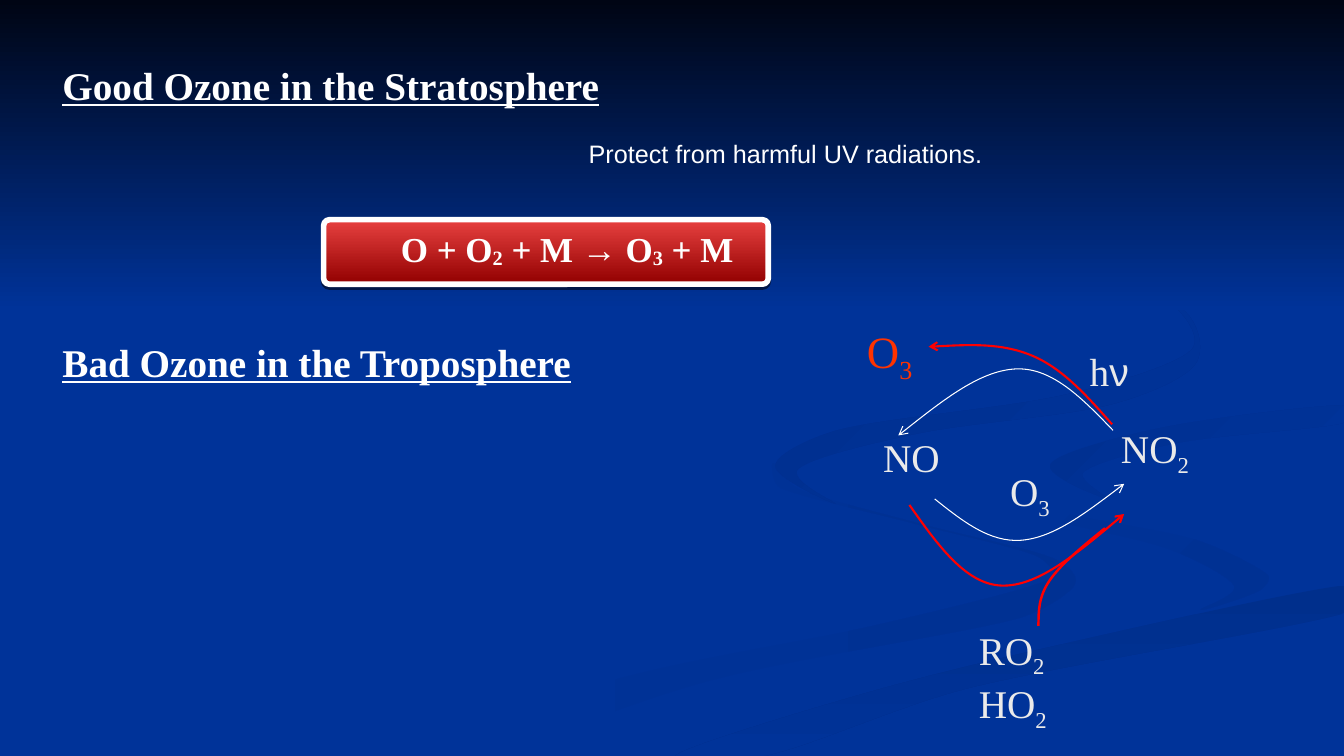
from math import dist

from pptx import Presentation
from pptx.dml.color import RGBColor
from pptx.enum.shapes import MSO_SHAPE
from pptx.enum.text import MSO_ANCHOR, PP_ALIGN
from pptx.oxml.ns import qn
from pptx.oxml.xmlchemy import OxmlElement
from pptx.util import Inches, Pt

RECT, ROUND = MSO_SHAPE.RECTANGLE, MSO_SHAPE.ROUNDED_RECTANGLE
LEFT, CENTER = PP_ALIGN.LEFT, PP_ALIGN.CENTER
TOP, MIDDLE = MSO_ANCHOR.TOP, MSO_ANCHOR.MIDDLE

BLUE, WHITE, PALE, RED = "003399", "FFFFFF", "EAEAEA", "FF0000"
ORANGE, NIGHT = "FF3300", "000514"
SERIF, SANS = "Times New Roman", "Arial"


def color(code):
    return RGBColor.from_string(code)


def node(parent, tag, **attrs):
    child = OxmlElement(tag)
    for key, value in attrs.items():
        child.set(key, str(value))
    parent.append(child)
    return child


def shift(a, b, c, d, part):
    """Move point a by a part of the way from c to d, kept short near b."""
    part *= min(1, 2 * dist(a, b) / dist(c, d))
    return tuple(p + (r - q) * part for p, q, r in zip(a, c, d))


def middle(a, b):
    return tuple((p + q) / 2 for p, q in zip(a, b))


def loop(points):
    """Cubic points of a smooth closed outline."""
    count, path = len(points), [points[0]]
    for i in range(count):
        a, b, c, d = (points[(i + k) % count] for k in (-1, 0, 1, 2))
        path += [shift(b, c, a, c, 1 / 6), shift(c, b, d, b, 1 / 6), c]
    return path


def bow(start, mid, end):
    """Cubic points of an open curve through three points."""
    before, after = (tuple(m + (q - p) * part for p, m, q
                           in zip(start, mid, end)) for part in (-1 / 6, 1 / 6))
    return [start, middle(start, before), before, mid,
            after, middle(after, end), end]


class Board:
    """Holds the style and the current slide."""

    def __init__(self, slide, font=SERIF, size=28, ink=PALE):
        self.slide, self.font, self.size, self.ink = slide, font, size, ink
        back = slide.background.fill
        back.solid()
        back.fore_color.rgb = color(BLUE)

    def blend(self, shape, first, last, angle):
        shape.fill.gradient()
        shape.fill.gradient_angle = (360 - angle) % 360
        for stop, code in zip(shape.fill.gradient_stops, (first, last)):
            stop.color.rgb = color(code)

    def outline(self, points, close):
        spots = [(Inches(x), Inches(y)) for x, y in points]
        maker = self.slide.shapes.build_freeform(*spots[0], scale=1.0)
        maker.add_line_segments(spots[1:], close=close)
        shape = maker.convert_to_shape()
        shape.shadow.inherit = False
        # Each three points after the start form one cubic segment
        steps = list(shape._element.iter(qn("a:lnTo")))
        for i in range(0, len(steps) // 3 * 3, 3):
            bend = OxmlElement("a:cubicBezTo")
            steps[i].addprevious(bend)
            for step in steps[i:i + 3]:
                bend.append(step[0])
                step.getparent().remove(step)
        return shape

    def ribbon(self, first, last, angle, *points):
        shape = self.outline(loop(points), True)
        self.blend(shape, first, last, angle)
        shape.line.fill.background()

    def curve(self, ink, width, arrow, *points):
        shape = self.outline(bow(*points), False)
        shape.fill.background()
        shape.line.color.rgb = color(ink)
        shape.line.width = Pt(width)
        if arrow:
            node(shape.line._get_or_add_ln(), "a:tailEnd", type="arrow")

    def block(self, kind, x, y, w, h, first, last):
        shape = self.slide.shapes.add_shape(
            kind, Inches(x), Inches(y), Inches(w), Inches(h))
        self.blend(shape, first, last, 90)
        shape.line.fill.background()
        shape.shadow.inherit = False
        return shape

    def panel(self, x, y, w, h):
        shape = self.block(ROUND, x, y, w, h, "E74140", "920000")
        shape.adjustments[0] = 0.09
        shape.line.color.rgb = color(WHITE)
        shape.line.width = Pt(4)
        effects = shape._element.spPr.find(qn("a:effectLst"))
        shade = node(effects, "a:outerShdw", blurRad=0, dist=Pt(2),
                     dir=5400000, algn="ctr", rotWithShape=0)
        node(node(shade, "a:srgbClr", val=NIGHT), "a:alpha", val=60000)

    def text(self, x, y, w, h, *lines, size=None, ink=None, font=None,
             bold=False, under=False, align=LEFT, anchor=TOP, wrap=True,
             inset=(0.1, 0.05), drop=-25):
        """Each line is a list of runs; a run "2" or "3" is a subscript."""
        box = self.slide.shapes.add_textbox(
            Inches(x), Inches(y), Inches(w), Inches(h))
        frame = box.text_frame
        frame.word_wrap = wrap
        frame.vertical_anchor = anchor
        frame.margin_left = frame.margin_right = Inches(inset[0])
        frame.margin_top = frame.margin_bottom = Inches(inset[1])
        for i, line in enumerate(lines):
            para = frame.add_paragraph() if i else frame.paragraphs[0]
            para.alignment = align
            for part in line:
                run = para.add_run()
                run.text = part
                face = run.font
                face.name = SANS if part == "ν" else font or self.font
                face.size = Pt(size or self.size)
                face.color.rgb = color(ink or self.ink)
                face.bold, face.underline = bold, under
                if part in ("2", "3"):
                    run._r.get_or_add_rPr().set("baseline", str(drop * 1000))


def main():
    deck = Presentation()
    deck.slide_width, deck.slide_height = Inches(13.33), Inches(7.5)
    board = Board(deck.slides.add_slide(deck.slide_layouts[6]))

    # Background ribbons
    board.ribbon(BLUE, "003193", 0, (10.42, 5.53), (9.1, 5.19), (7.92, 4.85),
                 (7.67, 4.59), (7.74, 4.84), (9.05, 5.19), (10.27, 5.51),
                 (10.44, 5.74), (8.7, 6.2), (6.11, 6.74), (4, 7.49),
                 (4.82, 7.49), (7.09, 6.74), (10.08, 6.14), (10.66, 5.8))
    board.ribbon(BLUE, "003193", 45, (12.57, 5.7), (11.84, 5.35),
                 (10.32, 5.03), (9.65, 4.64), (10.07, 5.05), (11.57, 5.44),
                 (12.24, 5.81), (11.91, 6.05), (12.49, 5.86))
    board.ribbon("002F8C", BLUE, 90, (6.71, 7.49), (7.62, 7.49), (9.63, 6.82),
                 (13.31, 6.09), (13.31, 5.81), (10.19, 6.47), (8.4, 6.93))
    board.ribbon("003091", BLUE, 45, (10.42, 4.6), (11.01, 4.96),
                 (10.75, 4.68), (11.7, 4.39), (13.31, 4.2), (13.31, 4.02),
                 (11.54, 4.24))
    board.ribbon("002F8E", BLUE, 45, (9.11, 4.3), (10.99, 4.02),
                 (11.85, 3.62), (11.73, 3.07), (10.17, 2.33), (11.59, 2.99),
                 (11.81, 3.48), (10.55, 3.92), (8.34, 4.26), (7.69, 4.62),
                 (8.29, 5), (7.92, 4.65))
    board.block(RECT, 0, 0, 13.33, 3.08, NIGHT, BLUE)

    # Reaction cycle
    board.curve(WHITE, 0.75, True, (11.04, 4.27), (10.09, 3.66), (8.91, 4.32))
    board.curve(WHITE, 0.75, True, (9.27, 4.95), (10.13, 5.36), (11.15, 4.8))
    board.curve(RED, 1.5, True, (11.03, 4.21), (10.24, 3.53), (9.21, 3.44))
    board.curve(RED, 1.5, True, (9.02, 5.01), (9.93, 5.81), (11.15, 5.1))
    board.curve(RED, 1.75, False, (10.3, 6.21), (10.41, 5.76), (10.96, 5.24))
    board.text(8.66, 4.25, 1.07, 0.57, ["NO"])
    board.text(11.02, 4.16, 1.07, 0.57, ["NO", "2"])
    board.text(10.71, 3.4, 0.63, 0.57, ["h", "ν"])
    board.text(8.5, 3.16, 0.69, 0.63, ["O", "3"], size=32, ink=ORANGE)
    board.text(9.92, 4.59, 0.69, 0.57, ["O", "3"])
    board.text(9.61, 6.16, 0.9, 1.03, ["RO", "2"], ["HO", "2"], wrap=False)

    # Formula
    board.panel(3.21, 2.18, 4.41, 0.64)
    board.text(3.94, 2.26, 3.37, 0.42,
               ["O + O", "2", " + M → O", "3", " + M"], size=25, ink=WHITE,
               bold=True, align=CENTER, anchor=MIDDLE, wrap=False,
               inset=(0, 0), drop=-6)

    # Headings and note
    for x, y, title in ((-0.07, 3.32, "Bad Ozone in the Troposphere"),
                        (0.07, 0.57, "Good Ozone in the Stratosphere")):
        board.text(x, y, 6.42, 0.54, [title], ink=WHITE, bold=True,
                   under=True, align=CENTER, inset=(0.07, 0.04))
    board.text(5.74, 1.32, 6.81, 0.4, ["Protect from harmful UV radiations."],
               size=18, ink=WHITE, font=SANS)
    deck.save("out.pptx")


if __name__ == "__main__":
    main()
